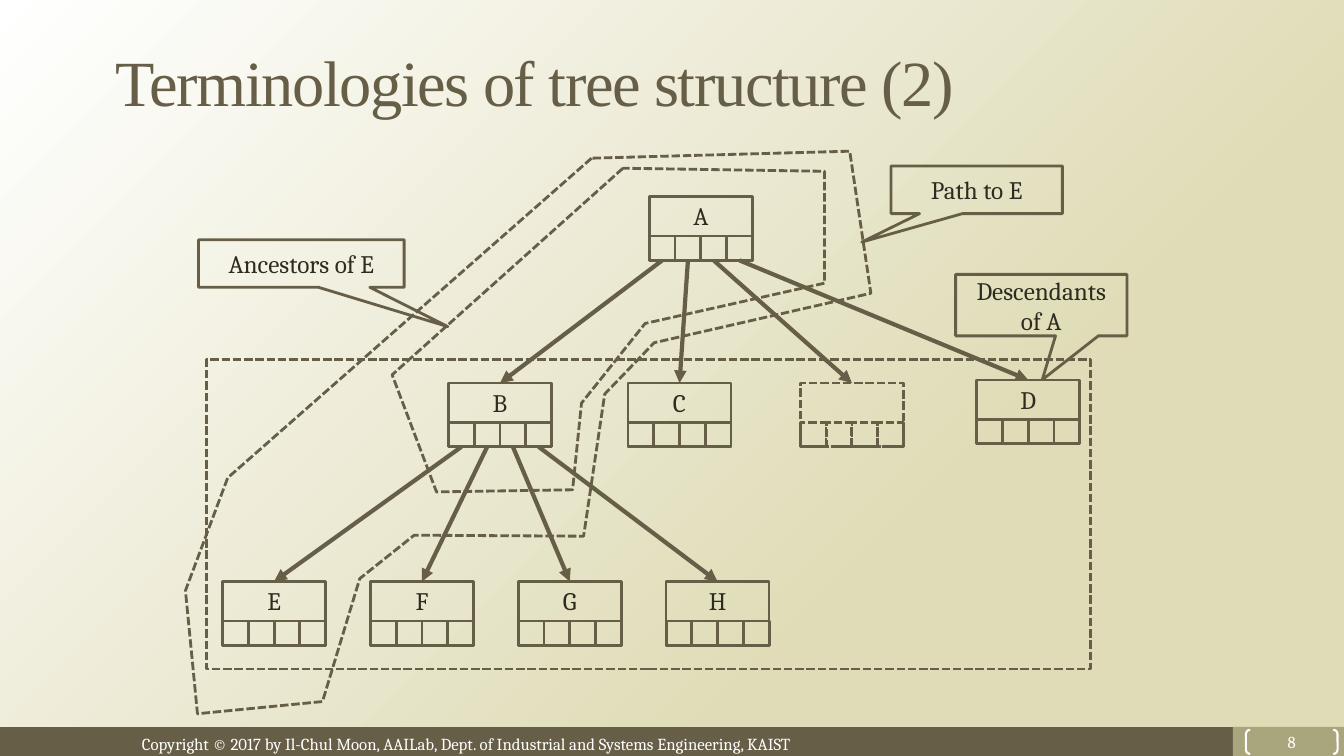
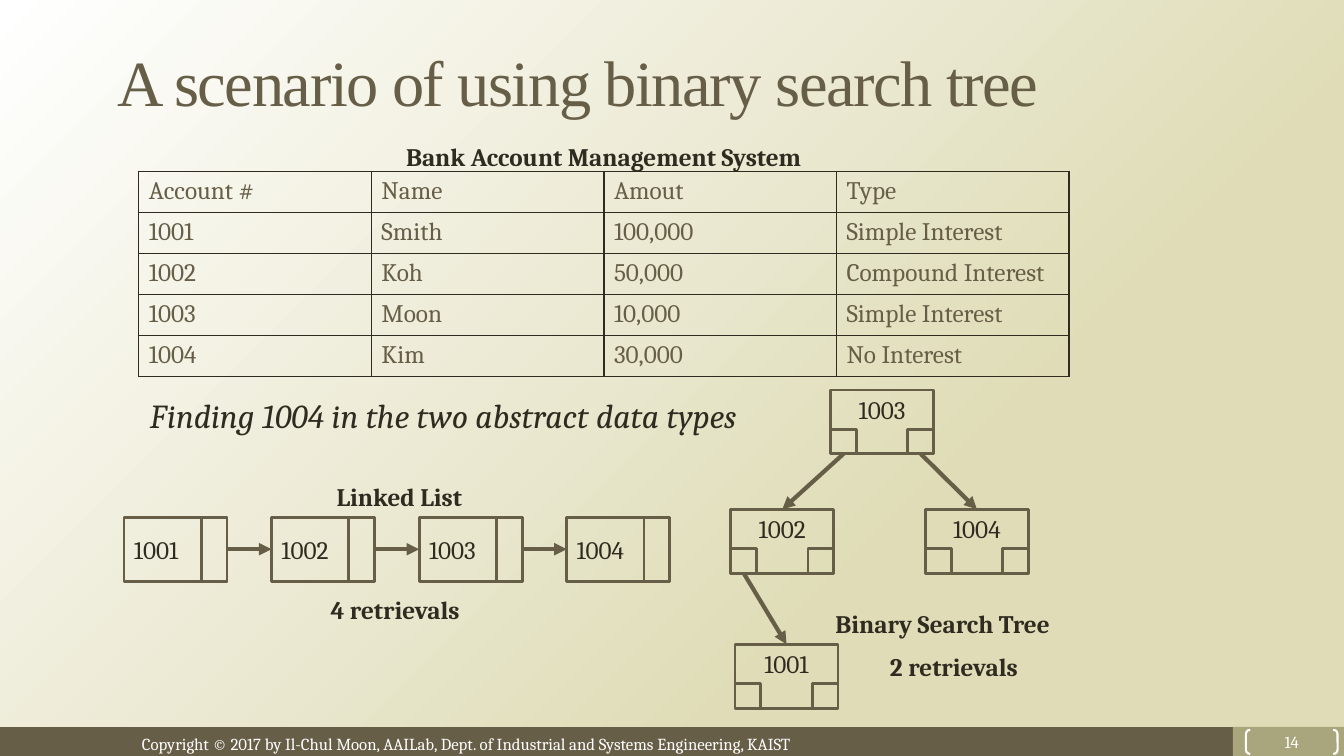
from dataclasses import dataclass

from lxml import etree
from pptx import Presentation
from pptx.dml.color import RGBColor
from pptx.enum.dml import MSO_LINE
from pptx.enum.shapes import MSO_CONNECTOR, MSO_SHAPE, PP_PLACEHOLDER
from pptx.enum.text import MSO_ANCHOR, MSO_AUTO_SIZE, PP_ALIGN
from pptx.oxml.ns import qn
from pptx.util import Pt

RECT = MSO_SHAPE.RECTANGLE
CALLOUT = MSO_SHAPE.RECTANGULAR_CALLOUT
BRACKETS = MSO_SHAPE.DOUBLE_BRACKET
STRAIGHT = MSO_CONNECTOR.STRAIGHT
DASH = MSO_LINE.SQUARE_DOT
LEFT, CENTER = PP_ALIGN.LEFT, PP_ALIGN.CENTER
MIDDLE = MSO_ANCHOR.MIDDLE
TOP_SIDE, LEFT_SIDE, BOTTOM_SIDE, RIGHT_SIDE = range(4)


@dataclass(frozen=True)
class Theme:
    brown: RGBColor = RGBColor(0x67, 0x5E, 0x47)
    olive: RGBColor = RGBColor(0xA9, 0xA5, 0x7C)
    sand: RGBColor = RGBColor(0xDF, 0xDC, 0xB7)
    ink: RGBColor = RGBColor(0x2F, 0x2B, 0x20)
    white: RGBColor = RGBColor(0xFF, 0xFF, 0xFF)
    title_font: str = "Times New Roman"
    body_font: str = "Cambria"
    title_size: int = 46
    lead_size: int = 24
    body_size: int = 18
    small_size: int = 12


T = Theme()
NODE_W, NODE_H = 73.6, 45.6
SLOT_W, SLOT_H = NODE_W / 4, 17.4


def style(sp, text="", fill=None, line=None, weight=2, dash=None, size=T.body_size,
          color=T.ink, font=T.body_font, align=CENTER, bold=False, italic=False):
    sp.shadow.inherit = False
    if fill is None:
        sp.fill.background()
    else:
        sp.fill.solid()
        sp.fill.fore_color.rgb = fill
    if line is None:
        sp.line.fill.background()
    else:
        sp.line.color.rgb = line
        sp.line.width = Pt(weight)
        if dash is not None:
            sp.line.dash_style = dash
    if text:
        tf = sp.text_frame
        tf.word_wrap = True
        p = tf.paragraphs[0]
        p.alignment = align
        r = p.add_run()
        r.text = text
        r.font.name = font
        r.font.size = Pt(size)
        r.font.color.rgb = color
        r.font.bold = bold
        r.font.italic = italic
    return sp


def node(s, x, y, label, slots, dash=None, tall=False):
    shapes = s.shapes.add_group_shape().shapes
    box = shapes.add_shape(RECT, Pt(x), Pt(y), Pt(NODE_W), Pt(NODE_H))
    style(box, label, line=T.brown, dash=dash, align=LEFT if tall else CENTER)
    tf = box.text_frame
    tf.vertical_anchor = MIDDLE
    if not tall:
        tf.margin_top, tf.margin_bottom = 0, Pt(SLOT_H + 1)
    h = NODE_H if tall else SLOT_H
    cells = []
    for k in slots:
        cell = shapes.add_shape(RECT, Pt(x + k * SLOT_W), Pt(y + NODE_H - h), Pt(SLOT_W), Pt(h))
        cells.append(style(cell, line=T.brown, dash=dash))
    return box, cells


prs = Presentation()
prs.slide_width, prs.slide_height = Pt(960), Pt(540)

bg = prs.slide_master.background.fill
bg.gradient()
bg.gradient_angle = 135
for stop, (position, color) in zip(bg.gradient_stops, [(0.31, T.sand), (1, T.white)]):
    stop.position = position
    stop.color.rgb = color

layout = prs.slide_layouts[5]
for ph in list(layout.placeholders):
    if ph.placeholder_format.type != PP_PLACEHOLDER.TITLE:
        ph.element.getparent().remove(ph.element)

slides = []
for title, left, width, number in [
    ("Terminologies of tree structure (2)", 75.6, 815, "8"),
    ("A scenario of using binary search tree", 77, 686.2, "14"),
]:
    s = prs.slides.add_slide(layout)
    slides.append(s)
    sp = s.shapes.title
    sp.left, sp.top, sp.width, sp.height = Pt(left), Pt(19.4), Pt(width), Pt(76.3)
    style(sp, title, size=T.title_size, color=T.brown, font=T.title_font, align=LEFT)
    sp.text_frame.vertical_anchor = MIDDLE
    sp.text_frame.auto_size = MSO_AUTO_SIZE.NONE
    sp.text_frame.paragraphs[0].runs[0]._r.get_or_add_rPr().set("spc", "-100")

    sp = s.shapes.add_shape(BRACKETS, Pt(889.9), Pt(521.3), Pt(65.5), Pt(17.3))
    sp.adjustments[0] = 0.179
    style(sp, number, line=T.white, weight=1.5, size=T.small_size, color=T.white)
    tf = sp.text_frame
    tf.vertical_anchor = MIDDLE
    tf.margin_left = tf.margin_top = tf.margin_right = tf.margin_bottom = 0

tree_slide, scenario_slide = slides

shapes = tree_slide.shapes
band = style(shapes.add_shape(RECT, 0, Pt(519.4), Pt(960), Pt(20.6)), fill=T.brown)
tab = style(shapes.add_shape(RECT, Pt(880.6), Pt(519.1), Pt(79.4), Pt(20.9)), fill=T.olive)
footer = style(
    shapes.add_textbox(Pt(94.3), Pt(520.6), Pt(504.7), Pt(21.6)),
    "Copyright © 2017 by Il-Chul Moon, AAILab, Dept. of Industrial and Systems Engineering, KAIST",
    size=T.small_size, color=T.white, align=LEFT)
for sp in (band, tab, footer):
    layout.shapes.element.append(sp.element)

s = tree_slide
links = []
four = range(4)
root, root_cells = node(s, 463.8, 140.4, "A", four)
children = [
    node(s, x, y, label, four, dash)
    for x, y, label, dash in [
        (320.4, 273.6, "B", None),
        (448.6, 273.6, "C", None),
        (571.7, 273.6, "", DASH),
        (697.7, 271.4, "D", None),
    ]
]
leaves = [node(s, 159 + 105.6 * i, 415.4, label, four) for i, label in enumerate("EFGH")]
for cells, targets in [(root_cells, children), (children[0][1], leaves)]:
    for cell, (box, _) in zip(cells, targets):
        links.append((s, cell, BOTTOM_SIDE, box, TOP_SIDE))

sp = s.shapes.add_shape(RECT, Pt(147.6), Pt(257), Pt(631.4), Pt(221))
style(sp, line=T.brown, dash=DASH)

ancestors = [(445, 120.2), (280.1, 267.8), (311.8, 351.4), (409, 349.9),
             (415.4, 288), (460.8, 231.1), (589, 202.3), (589, 122.4)]
path_to_e = [(422.6, 113), (162.7, 341.3), (132.5, 421.9), (141.1, 509.8),
             (230.4, 501.1), (257, 413.3), (295.9, 382.3), (416.9, 383),
             (432, 281.5), (467.3, 244.8), (622.1, 209.5), (607, 108)]
for outline in (ancestors, path_to_e):
    points = [(Pt(x), Pt(y)) for x, y in outline]
    builder = s.shapes.build_freeform(*points[0])
    builder.add_line_segments(points[1:], close=True)
    style(builder.convert_to_shape(), line=T.brown, dash=DASH)

for text, x, y, w, h, tip in [
    ("Path to E", 636.5, 118.6, 122.4, 34, (-0.671, 1.098)),
    ("Descendants of A", 682.6, 196, 122.4, 43.9, (0.006, 1.214)),
    ("Ancestors of E", 141.8, 171.2, 146.9, 34, (0.713, 1.328)),
]:
    sp = s.shapes.add_shape(CALLOUT, Pt(x), Pt(y), Pt(w), Pt(h))
    sp.adjustments[0], sp.adjustments[1] = tip
    style(sp, text, line=T.brown).text_frame.vertical_anchor = MIDDLE

s = scenario_slide
accounts = [
    ("Account #", "Name", "Amout", "Type"),
    ("1001", "Smith", "100,000", "Simple Interest"),
    ("1002", "Koh", "50,000", "Compound Interest"),
    ("1003", "Moon", "10,000", "Simple Interest"),
    ("1004", "Kim", "30,000", "No Interest"),
]
table = s.shapes.add_table(5, 4, Pt(99.2), Pt(122.4), Pt(664.4), Pt(146.5)).table
table.first_row = table.horz_banding = False
for row, values in zip(table.rows, accounts):
    row.height = Pt(29.3)
    for cell, value in zip(row.cells, values):
        r = cell.text_frame.paragraphs[0].add_run()
        r.text = value
        r.font.name = T.body_font
        r.font.size = Pt(T.body_size)
        r.font.color.rgb = T.brown
        tcPr = cell._tc.get_or_add_tcPr()
        for side in ("a:lnL", "a:lnR", "a:lnT", "a:lnB"):
            ln = etree.SubElement(tcPr, qn(side), w=str(Pt(1)))
            solid = etree.SubElement(ln, qn("a:solidFill"))
            etree.SubElement(solid, qn("a:srgbClr"), val=str(T.ink))
        cell.fill.background()

for text, x, y, w in [
    ("Bank Account Management System", 283, 97.2, 304.6),
    ("Linked List", 233.3, 340.6, 106.6),
    ("Binary Search Tree", 589.7, 431.3, 173.5),
    ("4 retrievals", 229, 421.2, 109.4),
    ("2 retrievals", 628.6, 461.5, 109.4),
]:
    sp = s.shapes.add_textbox(Pt(x), Pt(y), Pt(w), Pt(28.8))
    style(sp, text, align=LEFT, bold=True)
sp = s.shapes.add_textbox(Pt(100), Pt(278.6), Pt(453.6), Pt(36))
style(sp, "Finding 1004 in the two abstract data types", size=T.lead_size, align=LEFT, italic=True)

ends = (0, 3)
top, top_cells = node(s, 593.3, 278.6, "1003", ends)
low, low_cells = node(s, 522, 363.8, "1002", ends)
high, _ = node(s, 661, 363.8, "1004", ends)
lowest, _ = node(s, 525, 460.2, "1001", ends)
for cell, box in [(top_cells[0], low), (top_cells[1], high), (low_cells[0], lowest)]:
    links.append((s, cell, BOTTOM_SIDE, box, TOP_SIDE))

chain = [node(s, 88.6 + 105.4 * i, 369.5, str(1001 + i), [3], tall=True) for i in range(4)]
for (_, cells), (box, _) in zip(chain, chain[1:]):
    links.append((s, cells[0], RIGHT_SIDE, box, LEFT_SIDE))

for s, source, source_side, target, target_side in links:
    conn = s.shapes.add_connector(STRAIGHT, 0, 0, 0, 0)
    conn.begin_connect(source, source_side)
    conn.end_connect(target, target_side)
    conn.line.color.rgb = T.brown
    conn.line.width = Pt(3)
    etree.SubElement(conn.line._get_or_add_ln(), qn("a:tailEnd"), type="triangle")
    etree.SubElement(conn.element.spPr, qn("a:effectLst"))

prs.save("out.pptx")
